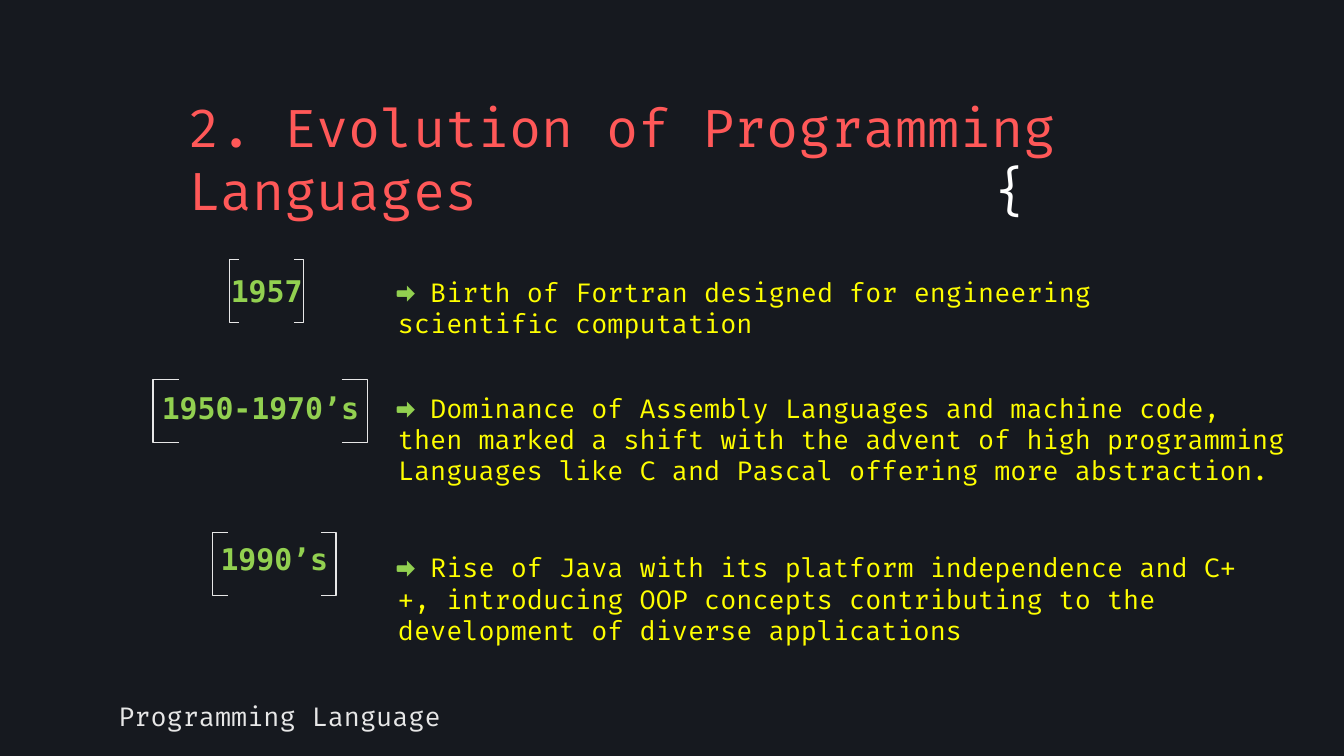
"""Build a dark timeline slide on the evolution of programming languages."""
from dataclasses import dataclass
from typing import NamedTuple

from pptx import Presentation
from pptx.dml.color import RGBColor
from pptx.enum import shapes, text
from pptx.oxml.xmlchemy import OxmlElement
from pptx.util import Pt


class Box(NamedTuple):
    """Left, top, width and height in points."""
    left: float
    top: float
    width: float
    height: float


@dataclass(frozen=True)
class Theme:
    """Colours, fonts and type sizes of the slide."""
    background: str = "16191F"
    heading: str = "FF5858"
    brace: str = "FFFFFF"
    accent: str = "92D050"
    body: str = "FFFF00"
    muted: str = "E7E7E7"
    font: str = "Fira Code"
    year_font: str = "DejaVu Sans Mono"
    heading_size: float = 28
    year_size: float = 16
    body_size: float = 14
    line_width: float = 0.75


@dataclass(frozen=True)
class Era:
    """One timeline row: bracketed year and its description."""
    year: str
    year_top: float
    frame: Box
    bracket_width: float
    description: str
    description_box: Box


THEME = Theme()
INSET = 7.2
YEAR_HEIGHT = 26.6
BRACE_STOP = 432
ERAS = [
    Era("1957", 142.6, Box(123, 139, 39.7, 33.8), 5,
        "Birth of Fortran designed for engineering scientific computation",
        Box(206, 134.6, 404.6, 60.5)),
    Era("1950-1970’s", 205.4, Box(82, 203.2, 115, 33.8), 14,
        "Dominance of Assembly Languages and machine code, then marked a shift "
        "with the advent of high programming Languages like C and Pascal "
        "offering more abstraction.",
        Box(206, 204.2, 490.3, 62)),
    Era("1990’s", 286.3, Box(114, 285.2, 66, 33.8), 8,
        "Rise of Java with its platform independence and C++, introducing OOP "
        "concepts contributing to the development of diverse applications",
        Box(206, 289.8, 478.8, 62)),
]


def rgb(colour: str) -> RGBColor:
    """Turn a hex string into a colour."""
    return RGBColor.from_string(colour)


def fill_placeholder(sp, box: Box, runs: list[tuple[str, str]], size: float):
    """Place a placeholder, write its coloured runs and return the paragraph."""
    sp.left, sp.top, sp.width, sp.height = map(Pt, box)
    tf = sp.text_frame
    tf.word_wrap = True
    tf.auto_size = text.MSO_AUTO_SIZE.NONE
    tf.vertical_anchor = text.MSO_ANCHOR.MIDDLE
    tf.margin_left = tf.margin_right = tf.margin_top = tf.margin_bottom = Pt(INSET)
    p = tf.paragraphs[0]
    p.alignment = text.PP_ALIGN.LEFT
    p.space_before = Pt(0)
    p.font.name, p.font.size, p.font.bold = THEME.font, Pt(size), False
    pPr = p._p.get_or_add_pPr()
    pPr.set("marL", "0")
    pPr.set("indent", "0")
    pPr.insert_element_before(OxmlElement("a:buNone"), "a:tabLst", "a:defRPr")
    for content, colour in runs:
        r = p.add_run()
        r.text = content
        r.font.name, r.font.size, r.font.bold = THEME.font, Pt(size), False
        r.font.color.rgb = rgb(colour)
    return p


def set_tab_distance(p, distance: float) -> None:
    """Set the distance between a paragraph's tab stops."""
    p._p.get_or_add_pPr().set("defTabSz", str(int(Pt(distance))))


def add_brackets(s, frame: Box, width: float) -> None:
    """Draw a grouped pair of square brackets at the sides of a frame."""
    group = s.shapes.add_group_shape()
    sides = [(shapes.MSO_SHAPE.LEFT_BRACKET, frame.left),
             (shapes.MSO_SHAPE.RIGHT_BRACKET, frame.left + frame.width - width)]
    for kind, left in sides:
        sp = group.shapes.add_shape(kind, Pt(left), Pt(frame.top), Pt(width), Pt(frame.height))
        sp.adjustments[0] = 0
        sp.shadow.inherit = False
        sp.fill.background()
        sp.line.color.rgb = rgb(THEME.muted)
        sp.line.width = Pt(THEME.line_width)


def add_year(s, year: str, top: float, frame: Box) -> None:
    """Write a bold year label centred between its brackets."""
    box = Box(frame.left - INSET, top, frame.width + 2 * INSET, YEAR_HEIGHT)
    tf = s.shapes.add_textbox(*map(Pt, box)).text_frame
    tf.word_wrap = True
    tf.margin_left = tf.margin_right = 0
    p = tf.paragraphs[0]
    p.alignment = text.PP_ALIGN.CENTER
    r = p.add_run()
    r.text = year
    for font in (p.font, r.font):
        font.name, font.size, font.bold = THEME.year_font, Pt(THEME.year_size), True
        font.color.rgb = rgb(THEME.accent)


def main() -> None:
    """Build and save the slide."""
    prs = Presentation()
    prs.slide_width, prs.slide_height = Pt(720), Pt(405)
    s = prs.slides.add_slide(prs.slide_layouts.get_by_name("Comparison"))
    s.background.fill.solid()
    s.background.fill.fore_color.rgb = rgb(THEME.background)

    title, *bodies, footer = s.placeholders
    heading = fill_placeholder(
        title, Box(93.6, 52.2, 531.4, 64.8),
        [("2. Evolution of Programming Languages\t", THEME.heading), ("{", THEME.brace)],
        THEME.heading_size)
    set_tab_distance(heading, BRACE_STOP)

    for era, body in zip(ERAS, bodies):
        fill_placeholder(body, era.description_box,
                         [("➡ ", THEME.accent), (era.description, THEME.body)],
                         THEME.body_size)
        add_brackets(s, era.frame, era.bracket_width)
        add_year(s, era.year, era.year_top, era.frame)

    fill_placeholder(footer, Box(56.2, 369.4, 383, 28),
                     [("Programming Language", THEME.muted)], THEME.body_size)
    prs.save("out.pptx")


if __name__ == "__main__":
    main()
